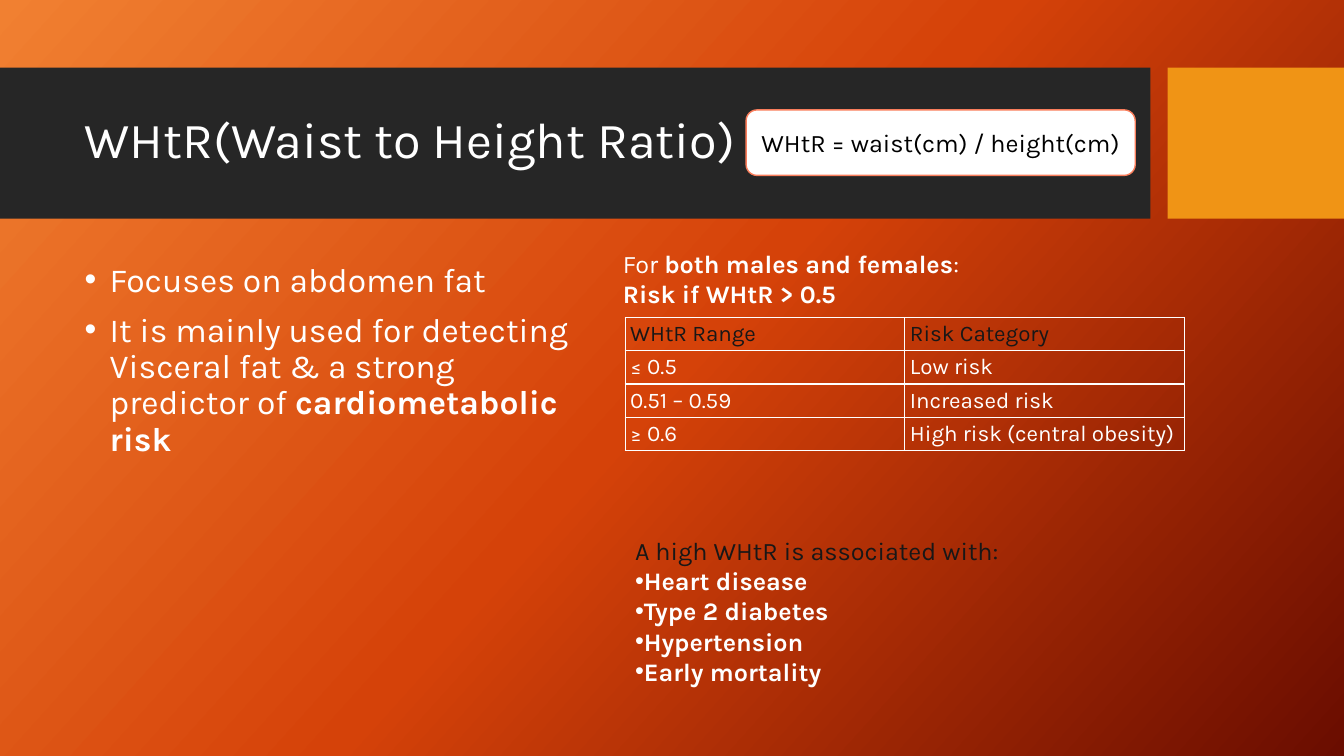
"""Build the waist to height ratio slide."""
from copy import deepcopy
from dataclasses import dataclass

from lxml import etree
from pptx import Presentation
from pptx import util as u
from pptx.dml.color import RGBColor
from pptx.enum import shapes, text
from pptx.oxml import ns

PX = 9144
FONT = "Karla"
WHITE = RGBColor(0xFF, 0xFF, 0xFF)
BLACK = RGBColor(0x00, 0x00, 0x00)
INK = RGBColor(0x18, 0x17, 0x17)
CHARCOAL = RGBColor(0x26, 0x26, 0x26)
AMBER = RGBColor(0xF0, 0x94, 0x15)
CORAL = RGBColor(0xFA, 0x7E, 0x5C)
GRADIENT = (
    (0, RGBColor(0xF1, 0x80, 0x31)),
    (0.5, RGBColor(0xD5, 0x42, 0x09)),
    (1, RGBColor(0x6A, 0x0D, 0x00)),
)


@dataclass(frozen=True)
class Box:
    left: int
    top: int
    width: int
    height: int

    def emu(self) -> tuple[int, ...]:
        return tuple(side * PX for side in (self.left, self.top, self.width, self.height))


@dataclass(frozen=True)
class Run:
    words: str
    bold: bool = False
    color: RGBColor = WHITE


@dataclass(frozen=True)
class Line:
    runs: tuple[Run, ...]
    bullet: bool = False
    indent: int = 0


@dataclass(frozen=True)
class TextBlock:
    box: Box
    size: int
    lines: tuple[Line, ...]
    anchor: text.MSO_ANCHOR = text.MSO_ANCHOR.TOP
    spacing: float = 1.0
    before: int = 0


@dataclass(frozen=True)
class Panel:
    box: Box
    fill: RGBColor
    kind: shapes.MSO_SHAPE = shapes.MSO_SHAPE.RECTANGLE
    outline: RGBColor | None = None


BANDS = (
    Panel(Box(0, 67, 1141, 150), CHARCOAL),
    Panel(Box(1158, 67, 175, 150), AMBER),
)
FORMULA = Panel(Box(740, 109, 386, 65), WHITE, shapes.MSO_SHAPE.ROUNDED_RECTANGLE, CORAL)
FORMULA_LINE = Line((Run("WHtR = waist(cm) / height(cm)", color=BLACK),))
CONDITIONS = ("Heart disease", "Type 2 diabetes", "Hypertension", "Early mortality")
TEXT_BLOCKS = (
    TextBlock(
        Box(74, 82, 1051, 118), 36,
        (Line((Run("WHtR(Waist to Height Ratio)"),)),),
        anchor=text.MSO_ANCHOR.MIDDLE, spacing=0.9,
    ),
    TextBlock(
        Box(74, 256, 514, 394), 24,
        (
            Line((Run("Focuses on abdomen fat"),), True, 25),
            Line((
                Run("It is mainly used for detecting Visceral fat & a strong predictor of "),
                Run("cardiometabolic risk", True),
            ), True, 25),
        ),
        spacing=0.9, before=10,
    ),
    TextBlock(
        Box(608, 241, 746, 71), 18,
        (
            Line((Run("For "), Run("both males and females", True), Run(":"))),
            Line((Run("Risk if WHtR > 0.5", True),)),
        ),
    ),
    TextBlock(
        Box(620, 526, 745, 162), 18,
        (
            Line((Run("A high WHtR is associated with:", color=INK),)),
            *(Line((Run(condition, True),), True) for condition in CONDITIONS),
        ),
    ),
)
RISK_BOX = Box(620, 315, 555, 132)
RISK_ROWS = (
    ("WHtR Range", "Risk Category"),
    ("≤ 0.5", "Low risk"),
    ("0.51 – 0.59", "Increased risk"),
    ("≥ 0.6", "High risk (central obesity)"),
)


def paint_background(slide) -> None:
    fill = slide.background.fill
    fill.gradient()
    fill.gradient_angle = 360 - 42
    stop_list = slide.element.find(".//" + ns.qn("a:gsLst"))
    stop_list.append(deepcopy(stop_list[0]))
    for stop, (position, color) in zip(fill.gradient_stops, GRADIENT):
        stop.position = position
        stop.color.rgb = color


def write_line(paragraph, line: Line, size: int) -> None:
    for part in line.runs:
        run = paragraph.add_run()
        run.text = part.words
        run.font.name = FONT
        run.font.size = u.Pt(size)
        run.font.bold = part.bold
        run.font.color.rgb = part.color
    if line.bullet:
        properties = paragraph._p.get_or_add_pPr()
        properties.set("marL", str(line.indent * PX))
        properties.set("indent", str(-line.indent * PX))
        etree.SubElement(properties, ns.qn("a:buFont"), typeface="Arial")
        etree.SubElement(properties, ns.qn("a:buChar"), char="•")


def add_text(slide, block: TextBlock) -> None:
    frame = slide.shapes.add_textbox(*block.box.emu()).text_frame
    frame.word_wrap = True
    frame.vertical_anchor = block.anchor
    for index, line in enumerate(block.lines):
        paragraph = frame.add_paragraph() if index else frame.paragraphs[0]
        paragraph.line_spacing = block.spacing
        paragraph.space_before = u.Pt(block.before)
        write_line(paragraph, line, block.size)


def add_panel(slide, panel: Panel):
    shape = slide.shapes.add_shape(panel.kind, *panel.box.emu())
    shape.shadow.inherit = False
    shape.fill.solid()
    shape.fill.fore_color.rgb = panel.fill
    if panel.outline is None:
        shape.line.fill.background()
    else:
        shape.line.color.rgb = panel.outline
        shape.line.width = u.Pt(1)
    return shape


def style_cell(cell) -> None:
    properties = cell._tc.get_or_add_tcPr()
    for side in ("lnL", "lnR", "lnT", "lnB"):
        border = etree.SubElement(properties, ns.qn(f"a:{side}"), w=str(u.Pt(1)))
        solid = etree.SubElement(border, ns.qn("a:solidFill"))
        etree.SubElement(solid, ns.qn("a:srgbClr"), val=str(WHITE))
    cell.fill.background()
    cell.vertical_anchor = text.MSO_ANCHOR.MIDDLE
    cell.margin_left = cell.margin_right = 5 * PX
    cell.margin_top = cell.margin_bottom = 2 * PX


def add_risk_table(slide) -> None:
    frame = slide.shapes.add_table(len(RISK_ROWS), len(RISK_ROWS[0]), *RISK_BOX.emu())
    table = frame.table
    table.first_row = table.horz_banding = False
    for row, labels in enumerate(RISK_ROWS):
        for column, label in enumerate(labels):
            cell = table.cell(row, column)
            style_cell(cell)
            color = WHITE if row else INK
            write_line(cell.text_frame.paragraphs[0], Line((Run(label, color=color),)), 16)


def main() -> None:
    presentation = Presentation()
    presentation.slide_width = 1333 * PX
    presentation.slide_height = 750 * PX
    slide = presentation.slides.add_slide(presentation.slide_layouts[6])
    paint_background(slide)
    for band in BANDS:
        add_panel(slide, band)
    for block in TEXT_BLOCKS:
        add_text(slide, block)
    add_risk_table(slide)
    frame = add_panel(slide, FORMULA).text_frame
    frame.vertical_anchor = text.MSO_ANCHOR.MIDDLE
    frame.paragraphs[0].alignment = text.PP_ALIGN.CENTER
    write_line(frame.paragraphs[0], FORMULA_LINE, 18)
    presentation.save("out.pptx")


if __name__ == "__main__":
    main()
